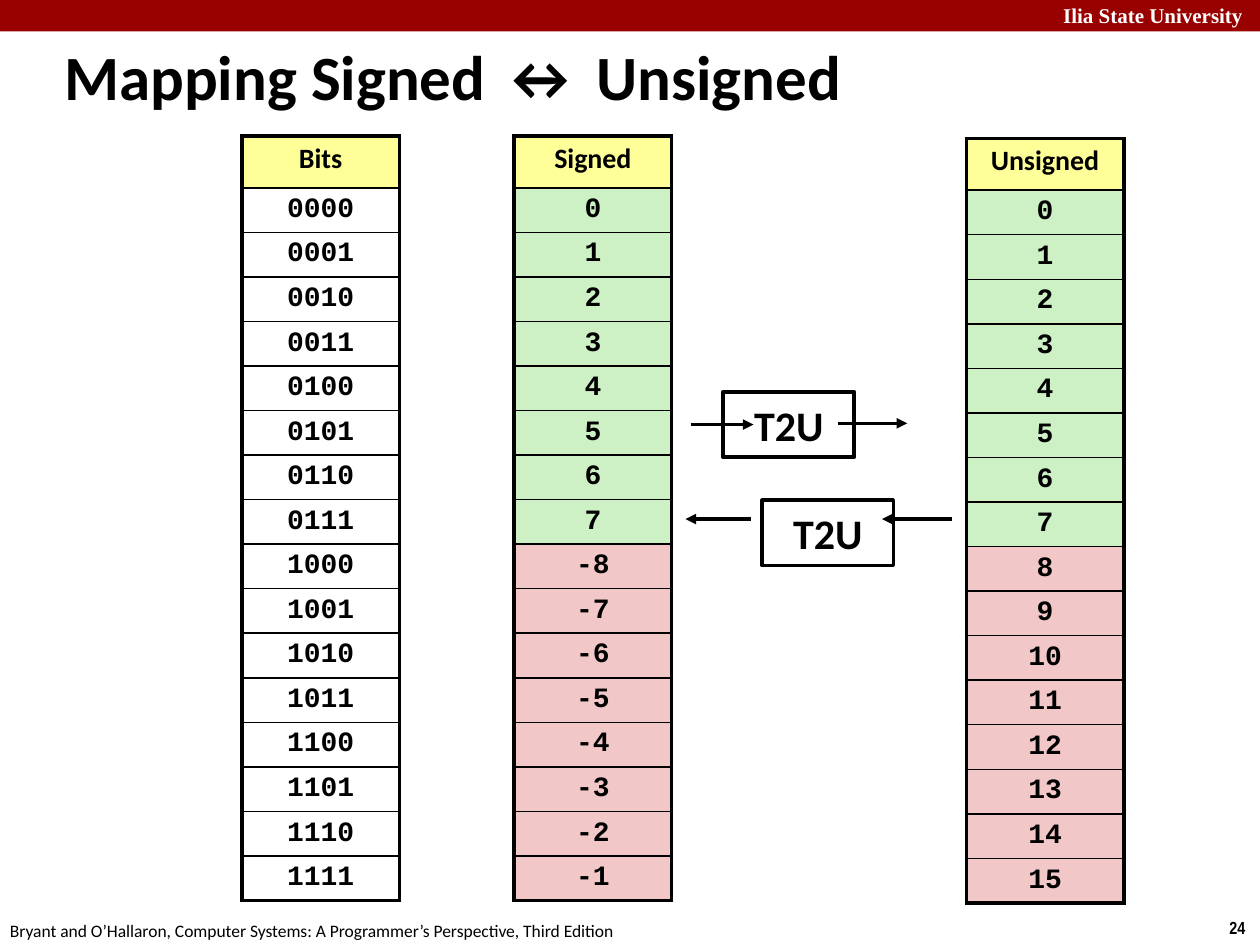
import pptx
import pptx.dml.color
import pptx.enum.shapes
import pptx.enum.text
import pptx.oxml
import pptx.oxml.ns
import pptx.util
import lxml.etree

Pt = pptx.util.Pt
RGBColor = pptx.dml.color.RGBColor
PP_ALIGN = pptx.enum.text.PP_ALIGN
MSO_ANCHOR = pptx.enum.text.MSO_ANCHOR
qn = pptx.oxml.ns.qn

BLACK = RGBColor(0, 0, 0)
WHITE = RGBColor(255, 255, 255)
RED = RGBColor(0x99, 0, 0)
YELLOW = RGBColor(0xFF, 0xFF, 0x99)
GREEN = RGBColor(0xCD, 0xF1, 0xC5)
PINK = RGBColor(0xF1, 0xC7, 0xC7)

TITLE = "Mapping Signed ↔ Unsigned"
VALUES = range(16)
TABLES = [
    ("Signed", [str(n if n < 8 else n - 16) for n in VALUES], 293.8, 77.8, (GREEN, PINK)),
    ("Unsigned", [str(n) for n in VALUES], 552.2, 79.2, (GREEN, PINK)),
    ("Bits", [f"{n:04b}" for n in VALUES], 138.2, 77.8, (None, None)),
]
COLUMN_WIDTH, HEADER_HEIGHT, ROW_HEIGHT = 90, 29.5, 23.8
THIN, THICK = 1, 2.25

LABELS = [
    ("Ilia State University", (600.5, -2.2, 124.6, 21.6), "Times New Roman", 12, WHITE, True),
    ("24", (695.5, 520.6, 24.5, 19.4), "Arial Narrow", 10, BLACK, True),
    ("Bryant and O’Hallaron, Computer Systems: A Programmer’s Perspective, Third Edition",
     (-1.4, 522, 365.8, 19.4), "Calibri", 10, BLACK, False),
]
CONVERSIONS = [
    ("T2U", (435.6, 285.8), [(429.1, 391.7, 296.6), (544.3, 504, 296.6)]),
    ("T2U", (413.3, 223.9), [(394.6, 430.6, 242.6), (478.8, 518.4, 241.9)]),
]
BOX_SIZE = (74.9, 37.4)


def format_font(paragraph, name, size, color=BLACK, bold=True):
    for run in paragraph.runs:
        run.font.name = name
        run.font.size = Pt(size)
        run.font.bold = bold
        run.font.color.rgb = color


def set_margins(target, horizontal, vertical):
    target.margin_left = target.margin_right = Pt(horizontal)
    target.margin_top = target.margin_bottom = Pt(vertical)


def add_border(cell, side, width):
    properties = cell._tc.get_or_add_tcPr()
    line = lxml.etree.SubElement(properties, qn(f"a:ln{side}"), w=str(Pt(width)))
    fill = lxml.etree.SubElement(line, qn("a:solidFill"))
    lxml.etree.SubElement(fill, qn("a:srgbClr"), val=str(BLACK))


def add_label(slide, text, box, font, size, color, bold):
    frame = slide.shapes.add_textbox(*map(Pt, box)).text_frame
    frame.word_wrap = True
    frame.text = text
    format_font(frame.paragraphs[0], font, size, color, bold)


def add_value_table(slide, header, values, left, top, fills):
    texts = [header] + values
    height = HEADER_HEIGHT + ROW_HEIGHT * len(values)
    table = slide.shapes.add_table(
        len(texts), 1, Pt(left), Pt(top), Pt(COLUMN_WIDTH), Pt(height)).table
    table.first_row = table.horz_banding = False
    last = len(values)
    for index, text in enumerate(texts):
        table.rows[index].height = Pt(ROW_HEIGHT if index else HEADER_HEIGHT)
        cell = table.cell(index, 0)
        set_margins(cell, 3.6, 3.6)
        cell.text_frame.text = text
        paragraph = cell.text_frame.paragraphs[0]
        paragraph.alignment = PP_ALIGN.CENTER
        paragraph.line_spacing = 0.95
        format_font(paragraph, "Courier New" if index else "Calibri", 16)
        add_border(cell, "L", THICK)
        add_border(cell, "R", THICK)
        add_border(cell, "T", THIN if index else THICK)
        add_border(cell, "B", THICK if index == last else THIN)
        color = fills[index > last // 2] if index else YELLOW
        if color is None:
            cell.fill.background()
        else:
            cell.fill.solid()
            cell.fill.fore_color.rgb = color


def add_arrow(shapes, start, end, y):
    arrow = shapes.add_connector(
        pptx.enum.shapes.MSO_CONNECTOR.STRAIGHT, Pt(start), Pt(y), Pt(end), Pt(y))
    arrow.line.color.rgb = BLACK
    arrow.line.width = Pt(2)
    lxml.etree.SubElement(arrow.line._get_or_add_ln(), qn("a:tailEnd"), type="triangle")
    lxml.etree.SubElement(arrow._element.spPr, qn("a:effectLst"))


def add_rectangle(shapes, left, top, width, height, fill):
    shape = shapes.add_shape(
        pptx.enum.shapes.MSO_SHAPE.RECTANGLE, Pt(left), Pt(top), Pt(width), Pt(height))
    shape.shadow.inherit = False
    shape.fill.solid()
    shape.fill.fore_color.rgb = fill
    return shape


def add_conversion(slide, text, position, arrows):
    shapes = slide.shapes.add_group_shape().shapes
    box = add_rectangle(shapes, *position, *BOX_SIZE, WHITE)
    box.line.color.rgb = BLACK
    box.line.width = Pt(2)
    frame = box.text_frame
    frame.vertical_anchor = MSO_ANCHOR.MIDDLE
    frame.text = text
    frame.paragraphs[0].alignment = PP_ALIGN.CENTER
    format_font(frame.paragraphs[0], "Calibri", 24)
    for arrow in arrows:
        add_arrow(shapes, *arrow)


def main():
    presentation = pptx.Presentation()
    presentation.slide_width, presentation.slide_height = Pt(720), Pt(540)
    slide = presentation.slides.add_slide(presentation.slide_layouts[5])

    add_rectangle(slide.shapes, 0, 0, 720, 18, RED).line.fill.background()
    for label in LABELS:
        add_label(slide, *label)

    title = slide.shapes.title
    title.left, title.top, title.width, title.height = map(Pt, (31.7, 19.4, 537.1, 43.9))
    frame = title.text_frame
    frame.auto_size = pptx.enum.text.MSO_AUTO_SIZE.NONE
    frame.vertical_anchor = MSO_ANCHOR.TOP
    set_margins(frame, 5, 2.2)
    frame.text = TITLE
    frame.paragraphs[0].alignment = PP_ALIGN.LEFT
    format_font(frame.paragraphs[0], "Calibri", 36)

    for table in TABLES:
        add_value_table(slide, *table)
    for conversion in CONVERSIONS:
        add_conversion(slide, *conversion)
    presentation.save("out.pptx")


if __name__ == "__main__":
    main()
